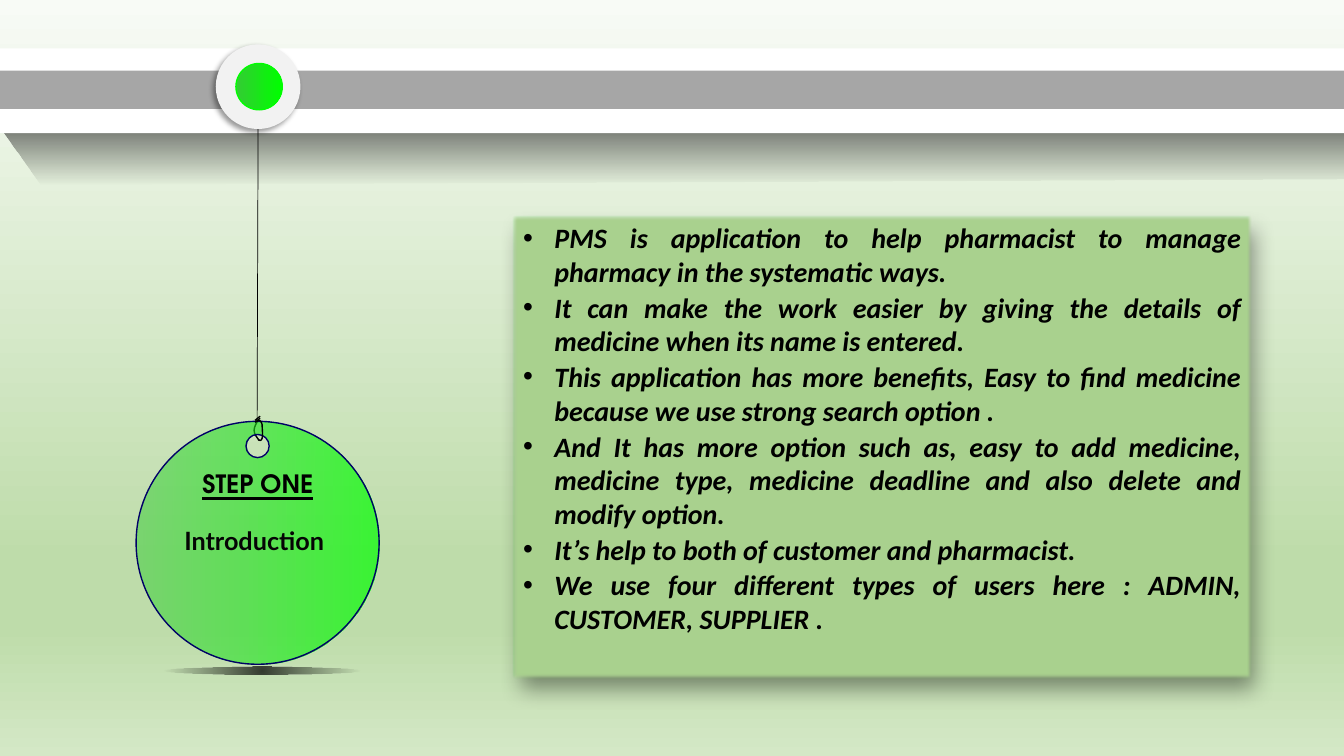
from lxml import etree
from pptx import Presentation
from pptx import util as u
from pptx.dml.color import RGBColor
from pptx.enum import shapes, text
from pptx.oxml.ns import qn

BLACK = RGBColor(0, 0, 0)
INK = RGBColor(5, 5, 5)
WHITE = RGBColor(255, 255, 255)
GREY = RGBColor(0xA6, 0xA6, 0xA6)
PALE = RGBColor(0xF2, 0xF2, 0xF2)
NAVY = RGBColor(0, 0, 0x66)
LEAF = RGBColor(0x33, 0xCC, 0x33)
LIME = RGBColor(0, 0xFF, 0)
EDGE = RGBColor(0, 0xCC, 0)
SAGE = RGBColor(0xA9, 0xD1, 0x8E)
MIST = RGBColor(0xF8, 0xFB, 0xF6)
MOSS = RGBColor(0xBE, 0xDC, 0xAA)
MINT = RGBColor(0xD4, 0xE8, 0xC6)

OVAL = shapes.MSO_SHAPE.OVAL
RECT = shapes.MSO_SHAPE.RECTANGLE
PILL = shapes.MSO_SHAPE.ROUNDED_RECTANGLE
FADE = [(0, BLACK, 74), (100, BLACK, 0)]

POINTS = [
    "PMS is application to help pharmacist to manage pharmacy in the systematic ways. ",
    "It can make the work easier by giving the details of medicine when its name is entered. ",
    "This application has more benefits, Easy to find medicine because we use strong search option .",
    "And It has more option such as, easy to add medicine, medicine type, medicine deadline"
    " and also delete and modify option. ",
    "It’s help to both of customer and pharmacist. ",
    "We use four different types of users here : ADMIN, CUSTOMER, SUPPLIER .",
]


def px(n):
    return u.Emu(round(n * 9144))


def add(parent, tag, **attrs):
    return etree.SubElement(parent, qn(tag), {k: str(v) for k, v in attrs.items()})


def tint(parent, color, alpha):
    node = add(parent, "a:srgbClr", val=color)
    if alpha < 100:
        add(node, "a:alpha", val=alpha * 1000)


def ring(x, y, r):
    """Circle as four curves: a start, then three points for each quarter."""
    dots = [(x, y - r)]
    for a, b in [(0, -1), (1, 0), (0, 1), (-1, 0)]:
        c, d = -b, a
        dots += [(x + r * (a + 0.55 * c), y + r * (b + 0.55 * d)),
                 (x + r * (c + 0.55 * a), y + r * (d + 0.55 * b)),
                 (x + r * c, y + r * d)]
    return dots


class Deck:
    def __init__(self, wide, high):
        self.file = Presentation()
        self.file.slide_width, self.file.slide_height = px(wide), px(high)
        self.slide = self.file.slides.add_slide(self.file.slide_layouts[6])
        self.items = self.slide.shapes

    def blend(self, fill, root, stops, angle=None):
        """Gradient fill; without an angle it runs out from the centre."""
        fill.gradient()
        grad = root.find(".//" + qn("a:gradFill"))
        for node in list(grad):
            grad.remove(node)
        row = add(grad, "a:gsLst")
        for at, color, alpha in stops:
            tint(add(row, "a:gs", pos=at * 1000), color, alpha)
        if angle is None:
            way = add(grad, "a:path", path="circle")
            add(way, "a:fillToRect", l=50000, t=50000, r=50000, b=50000)
        else:
            add(grad, "a:lin", ang=angle * 60000, scaled=0)

    def paint(self, item, fill=None, line=None, angle=None):
        item.shadow.inherit = False
        if fill is None:
            item.fill.background()
        elif isinstance(fill, list):
            self.blend(item.fill, item._element.spPr, fill, angle)
        else:
            item.fill.solid()
            item.fill.fore_color.rgb = fill
        if line is None:
            item.line.fill.background()
        else:
            item.line.color.rgb, item.line.width = line[0], u.Pt(line[1])
        return item

    def shape(self, kind, box, **look):
        item = self.items.add_shape(kind, *map(px, box))
        if kind == PILL:
            item.adjustments[0] = 0.5
        return self.paint(item, **look)

    def outline(self, *tracks, closed=False, curved=False, **look):
        """Freeform; when curved, every three points make one cubic curve."""
        dots = [[(px(x), px(y)) for x, y in track] for track in tracks]
        pen = self.items.build_freeform(*dots[0][0])
        for i, track in enumerate(dots):
            if i:
                pen.move_to(*track[0])
            pen.add_line_segments(track[1:], close=closed)
        item = pen.convert_to_shape()
        if curved:
            legs = list(item._element.iter(qn("a:lnTo")))
            for trio in zip(legs[::3], legs[1::3], legs[2::3]):
                bend = etree.Element(qn("a:cubicBezTo"))
                trio[0].addprevious(bend)
                for leg in trio:
                    bend.append(leg[0])
                    leg.getparent().remove(leg)
        return self.paint(item, **look)

    def cord(self, a, b, color, width):
        item = self.items.add_connector(shapes.MSO_CONNECTOR.STRAIGHT, *map(px, a + b))
        item.line.color.rgb, item.line.width = color, u.Pt(width)
        add(item._element.spPr, "a:effectLst")

    def shadow(self, item, alpha, blur, dist, angle, soft=0):
        effects = item._element.spPr.find(qn("a:effectLst"))
        node = add(effects, "a:outerShdw", blurRad=u.Pt(blur), dist=u.Pt(dist),
                   dir=angle * 60000, algn="ctr", rotWithShape=0)
        tint(node, BLACK, alpha)
        if soft:
            add(effects, "a:softEdge", rad=u.Pt(soft))

    def style(self, run, color, **form):
        for name, value in form.items():
            setattr(run.font, name, value)
        run.font.color.rgb = color

    def label(self, box, words, color, wrap=True, **form):
        frame = self.items.add_textbox(*map(px, box)).text_frame
        frame.word_wrap = wrap
        run = frame.paragraphs[0].add_run()
        run.text = words
        self.style(run, color, **form)

    def bullets(self, item, lines, color, **form):
        frame = item.text_frame
        frame.word_wrap = True
        frame.vertical_anchor = text.MSO_ANCHOR.TOP
        for i, words in enumerate(lines):
            para = frame.add_paragraph() if i else frame.paragraphs[0]
            para.alignment = text.PP_ALIGN.JUSTIFY
            para.space_before = u.Pt(0.8 if i else 0)
            para.space_after = u.Pt(0.8)
            props = para._p.get_or_add_pPr()
            props.set("marL", str(px(31)))
            props.set("indent", str(-px(31)))
            add(props, "a:buFont", typeface="Arial")
            add(props, "a:buChar", char="•")
            run = para.add_run()
            run.text = words
            self.style(run, color, **form)


def main():
    deck = Deck(1333, 750)
    deck.blend(deck.slide.background.fill, deck.slide._element,
               [(0, MIST, 100), (74, MOSS, 100), (83, MOSS, 100), (100, MINT, 100)], 90)

    # Rail and its shadow
    deck.outline([(41, 183), (-17, 102), (1322, 117), (1362, 177)], closed=True, fill=FADE, angle=90)
    deck.shape(PILL, (-66, 48, 1492, 84), fill=WHITE)
    deck.shape(PILL, (-32, 70, 1411, 38), fill=GREY)

    # Hanging tag with a punched hole
    thread = (BLACK, 1)
    deck.shape(OVAL, (162, 661, 196, 8), fill=FADE)
    deck.outline([(257, 437), (255, 434), (252, 431), (252, 427), (252, 424), (254, 420), (256, 417)],
                 curved=True, line=thread)
    deck.outline(ring(255.5, 442.5, 11.5), ring(255.5, 538.5, 120.5), closed=True, curved=True,
                 fill=[(0, LEAF, 50), (100, LIME, 70)], angle=0, line=(NAVY, 1))
    deck.label((173, 516, 186, 40), "Introduction", INK, name="Lato", size=u.Pt(18), bold=True)

    # Pin on the rail
    pin = deck.shape(OVAL, (214, 44, 84, 84), fill=PALE)
    deck.shadow(pin, 40, 4, 3, 135)
    deck.shape(OVAL, (234, 63, 46, 46), fill=[(0, LEAF, 100), (100, LIME, 100)], angle=0, line=(LIME, 1))

    # Cord and knot
    deck.cord((256, 128), (255, 418), BLACK, 0.5)
    deck.outline([(255, 418), (258, 416), (259, 418), (260, 421), (260, 424), (261, 433), (260, 435),
                  (259, 438), (257, 437), (256, 436)], curved=True, line=thread)
    for y in (419, 417):
        deck.outline([(253, y), (258, y - 4)], line=thread)
    deck.label((191, 460, 131, 40), "STEP ONE", BLACK, wrap=False, name="TeX Gyre Adventor",
               size=u.Pt(18), bold=True, underline=True)

    # Text panel
    panel = deck.shape(RECT, (509, 214, 732, 460), fill=SAGE, line=(EDGE, 0.75))
    deck.shadow(panel, 40, 16, 10, 66, soft=1)
    deck.bullets(panel, POINTS, BLACK, name="Calibri", size=u.Pt(20), bold=True, italic=True)

    deck.file.save("out.pptx")


if __name__ == "__main__":
    main()
